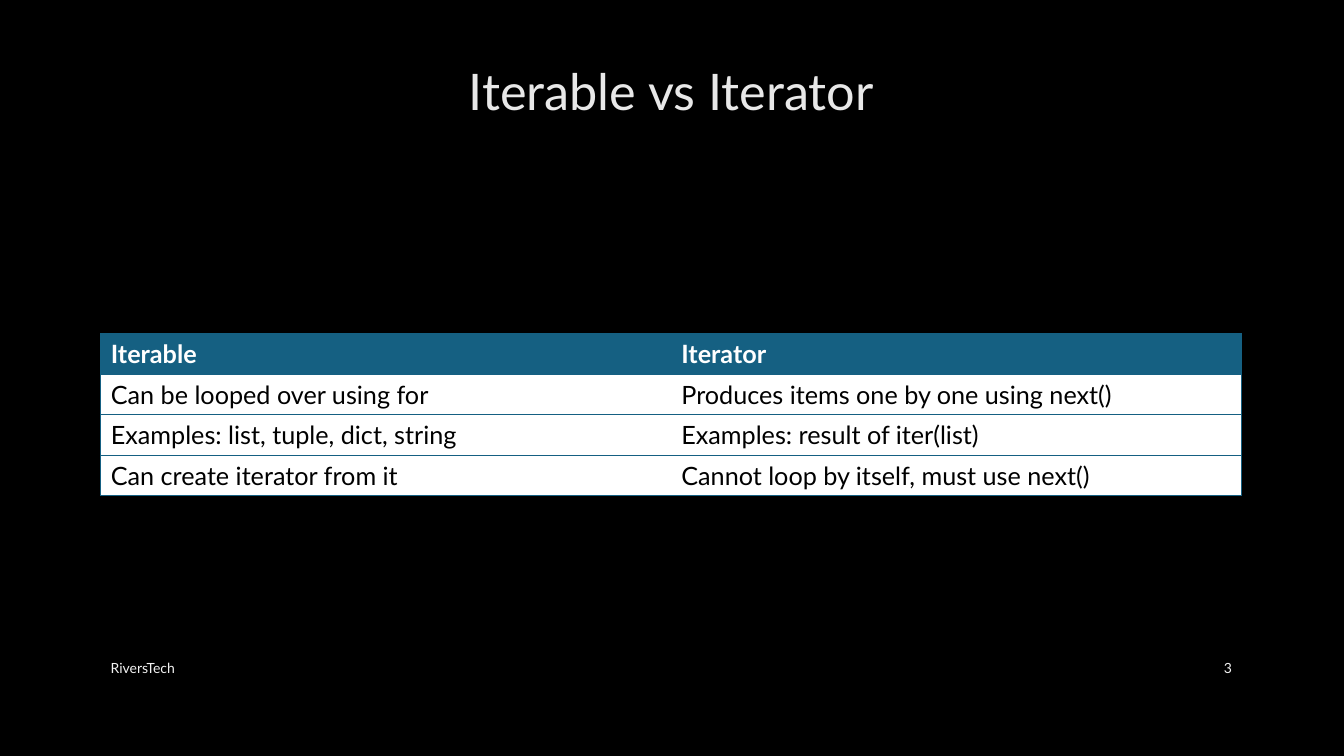
import pptx
import pptx.dml.color
import pptx.enum.text
import pptx.oxml
import pptx.oxml.ns
import pptx.util
from lxml import etree

Pt = pptx.util.Pt
RGBColor = pptx.dml.color.RGBColor
ALIGN = pptx.enum.text.PP_ALIGN
MIDDLE = pptx.enum.text.MSO_ANCHOR.MIDDLE

BLACK = RGBColor(0x00, 0x00, 0x00)
WHITE = RGBColor(0xFF, 0xFF, 0xFF)
TEAL = RGBColor(0x15, 0x60, 0x82)
TITLE_GREY = RGBColor(0xE8, 0xE8, 0xE8)
FOOTER_GREY = RGBColor(0xF2, 0xF2, 0xF2)

LEFT, WIDTH = 72, 815.04
FOOTER_TOP, FOOTER_HEIGHT = 462.96, 28.8
ROW_HEIGHT = 28.95

COMPARISON = [
    ("Iterable", "Iterator"),
    ("Can be looped over using for", "Produces items one by one using next()"),
    ("Examples: list, tuple, dict, string", "Examples: result of iter(list)"),
    ("Can create iterator from it", "Cannot loop by itself, must use next()"),
]


def write_text(frame, text, size, color, bold=False, align=ALIGN.LEFT):
    frame.text = text
    paragraph = frame.paragraphs[0]
    paragraph.alignment = align
    font_format = {"name": "Lato", "size": Pt(size), "bold": bold}
    for name, value in font_format.items():
        setattr(paragraph.font, name, value)
    paragraph.font.color.rgb = color


def set_frame(frame):
    frame_format = {
        "word_wrap": True,
        "vertical_anchor": MIDDLE,
        "auto_size": pptx.enum.text.MSO_AUTO_SIZE.NONE,
    }
    for name, value in frame_format.items():
        setattr(frame, name, value)


def add_title(slide, text):
    title = slide.shapes.title
    place = {"left": LEFT, "top": 48.24, "width": WIDTH, "height": 76.32}
    for name, value in place.items():
        setattr(title, name, Pt(value))
    set_frame(title.text_frame)
    write_text(title.text_frame, text, 36, TITLE_GREY, align=ALIGN.CENTER)


def add_footer(slide, text, left, width, align):
    footer = slide.shapes.add_textbox(
        Pt(left), Pt(FOOTER_TOP), Pt(width), Pt(FOOTER_HEIGHT))
    set_frame(footer.text_frame)
    write_text(footer.text_frame, text, 10, FOOTER_GREY, align=align)


def set_borders(cell, visible_sides):
    properties = cell._tc.get_or_add_tcPr()
    qn = pptx.oxml.ns.qn
    for side in "LRTB":
        border = etree.SubElement(properties, qn(f"a:ln{side}"), w=str(Pt(1)))
        if side in visible_sides:
            fill = etree.SubElement(border, qn("a:solidFill"))
            etree.SubElement(fill, qn("a:srgbClr"), val=str(TEAL))
        else:
            etree.SubElement(border, qn("a:noFill"))


def add_comparison(slide, rows):
    columns = len(rows[0])
    table = slide.shapes.add_table(
        len(rows), columns, Pt(LEFT), Pt(238.32),
        Pt(WIDTH), Pt(ROW_HEIGHT * len(rows))).table
    table.horz_banding = False
    for row_index, texts in enumerate(rows):
        is_header = row_index == 0
        for column_index, text in enumerate(texts):
            cell = table.cell(row_index, column_index)
            set_borders(cell, "LTB" if column_index == 0 else "RTB")
            cell.fill.solid()
            cell.fill.fore_color.rgb = TEAL if is_header else WHITE
            cell.vertical_anchor = MIDDLE
            write_text(cell.text_frame, text, 18,
                       WHITE if is_header else BLACK, bold=is_header)


def main():
    presentation = pptx.Presentation()
    presentation.slide_width = Pt(960)
    presentation.slide_height = Pt(540)
    slide = presentation.slides.add_slide(presentation.slide_layouts[5])
    slide.background.fill.solid()
    slide.background.fill.fore_color.rgb = BLACK
    add_title(slide, "Iterable vs Iterator\v")
    add_comparison(slide, COMPARISON)
    add_footer(slide, "RiversTech", LEFT, 525.6, ALIGN.LEFT)
    add_footer(slide, "3", 828, 59.04, ALIGN.RIGHT)
    presentation.save("out.pptx")


if __name__ == "__main__":
    main()
